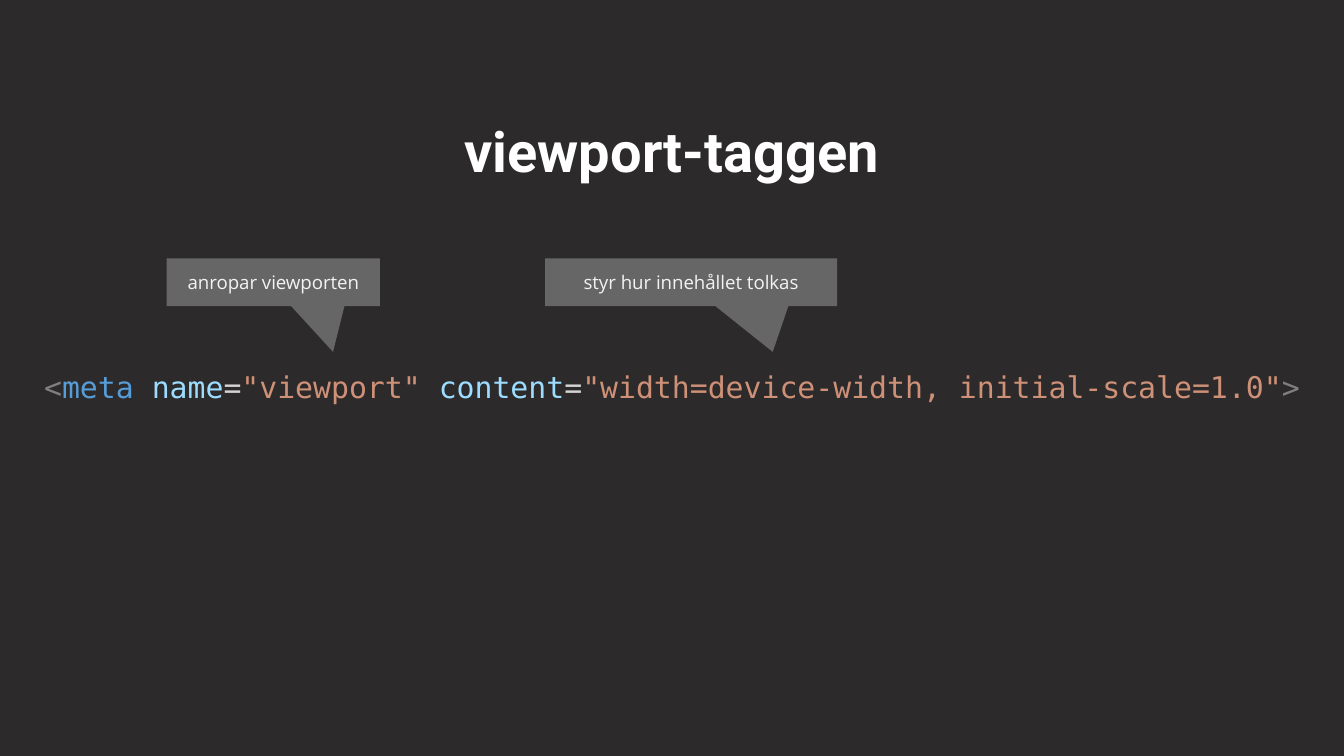
from pptx import Presentation
from pptx.dml.color import RGBColor
from pptx.enum.shapes import MSO_SHAPE as Shape
from pptx.enum.text import MSO_ANCHOR as Anchor, PP_ALIGN as Align
from pptx.util import Inches, Pt

COLORS = {
    "background": "2C2A2A",
    "title": "FFFFFF",
    "callout": "666666",
    "callout text": "F3F3F3",
    "bracket": "808080",
    "tag": "569CD6",
    "attribute": "9CDCFE",
    "equals": "D4D4D4",
    "string": "CE9178",
}
CELL = Inches(0.1)  # the slide is a 16:9 grid, 100 columns wide
COLUMNS = 100
ROWS = COLUMNS * 9 / 16
FRAME_FORMAT = {
    "word_wrap": True,
    "vertical_anchor": Anchor.MIDDLE,
    "margin_left": CELL,
    "margin_right": CELL,
    "margin_top": CELL,
    "margin_bottom": CELL,
}


def grid(*cells):
    return [round(count * CELL) for count in cells]


def write(holder, runs, **font_format):
    """Fill the holder with one centred line of (text, colour name) runs."""
    for key, value in FRAME_FORMAT.items():
        setattr(holder.text_frame, key, value)
    line = holder.text_frame.paragraphs[0]
    line.alignment = Align.CENTER
    for text, color in runs:
        run = line.add_run()
        run.text = text
        run.font.color.rgb = RGBColor.from_string(COLORS[color])
        for key, value in font_format.items():
            setattr(run.font, key, value)
    return line


prs = Presentation()
prs.slide_width, prs.slide_height = grid(COLUMNS, ROWS)
slide = prs.slides.add_slide(prs.slide_layouts[6])
slide.background.fill.solid()
slide.background.fill.fore_color.rgb = RGBColor.from_string(COLORS["background"])

# Title
title = slide.shapes.add_textbox(*grid(7.35, 6.25, 85.3, 9.8))
write(title, [("viewport-taggen", "title")], name="Roboto", size=Pt(30), bold=True)

# Code line, coloured by syntax
code = slide.shapes.add_textbox(*grid(0, 24.75, COLUMNS, 6.7))
tokens = [
    ("<", "bracket"),
    ("meta ", "tag"),
    ("name", "attribute"),
    ("=", "equals"),
    ('"viewport" ', "string"),
    ("content", "attribute"),
    ("=", "equals"),
    ('"width=device-width, initial-scale=1.0"', "string"),
    (">", "bracket"),
]
code_line = write(code, tokens, name="DejaVu Sans Mono", size=Pt(16))
code_line.line_spacing = 1.5

# Callouts pointing down at the two attributes
for left, width, remark in [
    (12.4, 15.87, "anropar viewporten"),
    (40.55, 21.73, "styr hur innehållet tolkas"),
]:
    callout = slide.shapes.add_shape(
        Shape.RECTANGULAR_CALLOUT, *grid(left, 19.23, width, 3.55)
    )
    callout.adjustments[0] = 0.28
    callout.adjustments[1] = 1.46
    callout.shadow.inherit = False
    callout.fill.solid()
    callout.fill.fore_color.rgb = RGBColor.from_string(COLORS["callout"])
    callout.line.fill.background()
    write(callout, [(remark, "callout text")], name="Open Sans", size=Pt(10))

prs.save("out.pptx")
